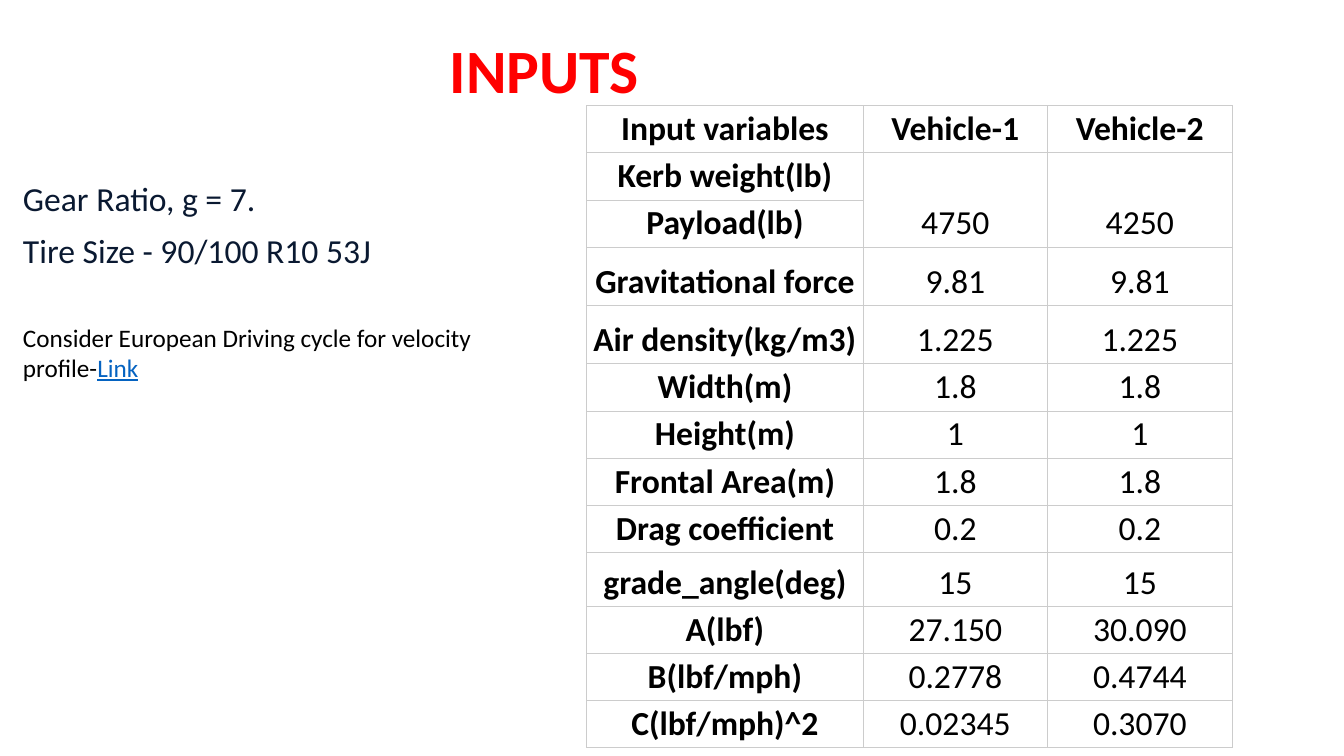
from lxml import etree
from pptx import Presentation
from pptx.dml.color import RGBColor
from pptx.enum.text import MSO_ANCHOR, PP_ALIGN
from pptx.oxml.ns import qn
from pptx.util import Inches, Pt

LEFT, CENTER = PP_ALIGN.LEFT, PP_ALIGN.CENTER
MIDDLE, BOTTOM = MSO_ANCHOR.MIDDLE, MSO_ANCHOR.BOTTOM
BLACK, NAVY, RED, BLUE, GRAY = "000000", "0A1931", "FF0000", "0563C1", "CCCCCC"

TITLE = "INPUTS"
# Each note: runs of (text, size, colour, underline), space before, space after
NOTES = [
    ([("Gear Ratio, g = 7.", 24, NAVY, False)], 0, 0),
    ([("Tire Size - 90/100 R10 53J", 24, NAVY, False)], 8, 37),
    ([("Consider European Driving cycle for velocity profile-", 18, BLACK, False),
      ("Link", 18, BLUE, True)], 0, 0),
]
ROWS = [
    ("Input variables", "Vehicle-1", "Vehicle-2"),
    ("Kerb weight(lb)", "4750", "4250"),
    ("Payload(lb)", "", ""),
    ("Gravitational force", "9.81", "9.81"),
    ("Air density(kg/m3)", "1.225", "1.225"),
    ("Width(m)", "1.8", "1.8"),
    ("Height(m)", "1", "1"),
    ("Frontal Area(m)", "1.8", "1.8"),
    ("Drag coefficient", "0.2", "0.2"),
    ("grade_angle(deg)", "15", "15"),
    ("A(lbf)", "27.150", "30.090"),
    ("B(lbf/mph)", "0.2778", "0.4744"),
    ("C(lbf/mph)^2", "0.02345", "0.3070"),
]
WIDTHS = [2.74, 1.83, 1.83]
ROW_H = 0.45
TALL = {3: 0.58, 4: 0.58, 9: 0.54}
MERGE_TOP = 1


def style(run, size, color, bold=False, line=False):
    font = run.font
    font.name, font.size = "Calibri", Pt(size)
    font.bold, font.underline = bold, line
    font.color.rgb = RGBColor.from_string(color)


def border(cell):
    props = cell._tc.get_or_add_tcPr()
    for i, side in enumerate(("a:lnL", "a:lnR", "a:lnT", "a:lnB")):
        edge = etree.Element(qn(side), w=str(Pt(0.75)))
        fill = etree.SubElement(edge, qn("a:solidFill"))
        etree.SubElement(fill, qn("a:srgbClr"), val=GRAY)
        props.insert(i, edge)


def add_title(slide):
    title = slide.shapes.title
    title.left, title.top = Inches(0.92), Inches(0)
    title.width, title.height = Inches(11.5), Inches(1.45)
    frame = title.text_frame
    frame.text = TITLE
    frame.margin_left = Inches(3.54)
    frame.vertical_anchor = MIDDLE
    para = frame.paragraphs[0]
    para.alignment, para.line_spacing = LEFT, 0.9
    style(para.runs[0], 44, RED, True)


def add_inputs(slide):
    heights = [TALL.get(r, ROW_H) for r in range(len(ROWS))]
    table = slide.shapes.add_table(
        len(ROWS), len(WIDTHS), Inches(5.82), Inches(1.05),
        Inches(sum(WIDTHS)), Inches(sum(heights))).table
    table.first_row = table.horz_banding = False
    for col, width in zip(table.columns, WIDTHS):
        col.width = Inches(width)
    for r, (row, height) in enumerate(zip(ROWS, heights)):
        table.rows[r].height = Inches(height)
        for c, text in enumerate(row):
            cell = table.cell(r, c)
            cell.fill.background()
            border(cell)
            cell.margin_left = cell.margin_right = Inches(0.04)
            cell.margin_top = cell.margin_bottom = Inches(0.03)
            cell.vertical_anchor = BOTTOM
            cell.text_frame.text = text
            para = cell.text_frame.paragraphs[0]
            para.alignment = CENTER
            for run in para.runs:
                style(run, 24, BLACK, r == 0 or c == 0)
    for c in range(1, len(WIDTHS)):
        table.cell(MERGE_TOP, c).merge(table.cell(MERGE_TOP + 1, c))


def add_notes(slide):
    frame = slide.shapes.add_textbox(
        Inches(0.13), Inches(1.72), Inches(5.43), Inches(2.95)).text_frame
    frame.word_wrap = True
    for i, (runs, before, after) in enumerate(NOTES):
        para = frame.add_paragraph() if i else frame.paragraphs[0]
        para.space_before, para.space_after = Pt(before), Pt(after)
        for text, size, color, line in runs:
            run = para.add_run()
            run.text = text
            style(run, size, color, line=line)


def main():
    deck = Presentation()
    deck.slide_width, deck.slide_height = Inches(13.33), Inches(7.5)
    slide = deck.slides.add_slide(deck.slide_layouts[5])
    add_title(slide)
    add_inputs(slide)
    add_notes(slide)
    deck.save("out.pptx")


if __name__ == "__main__":
    main()
